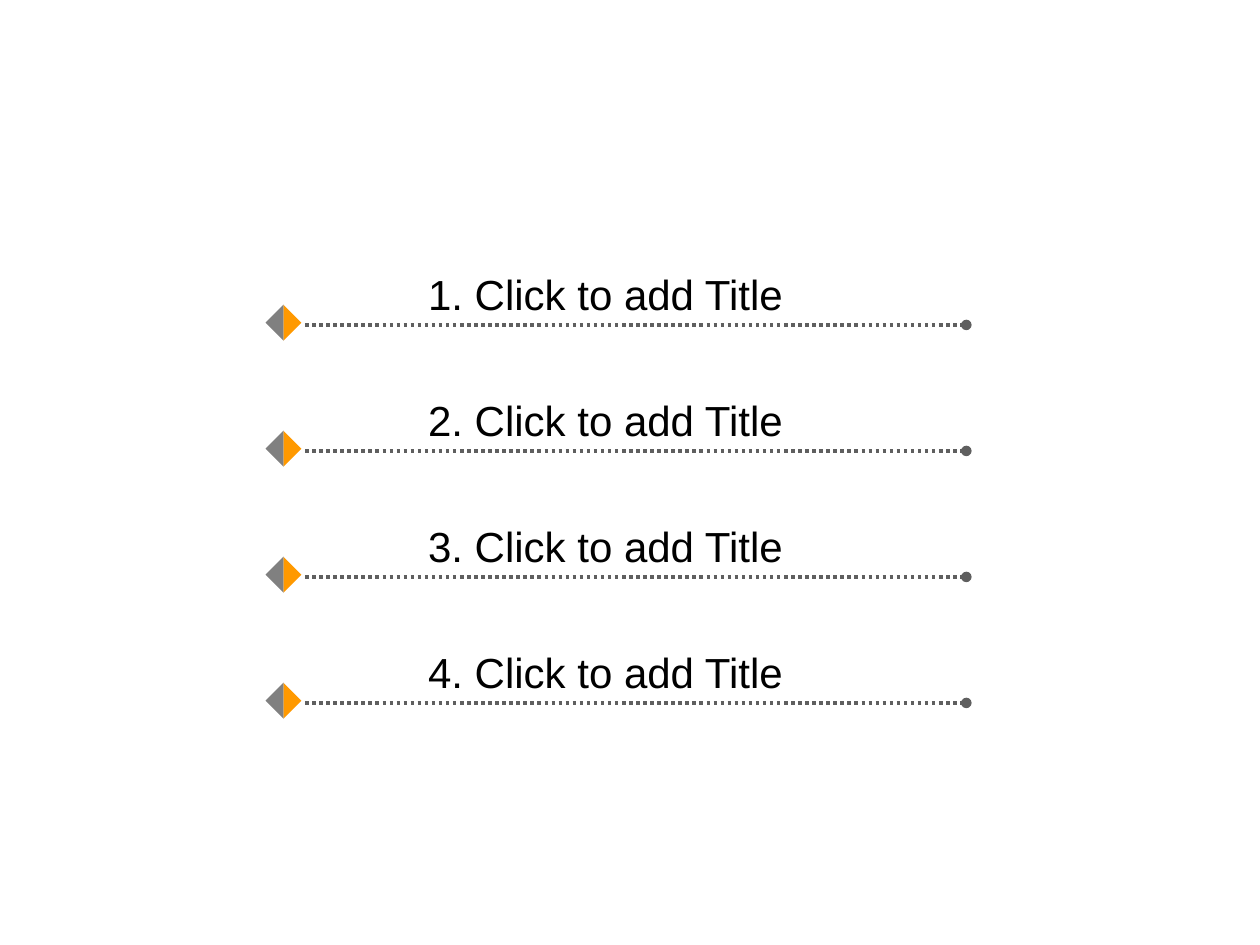
from lxml import etree
from pptx import Presentation
from pptx.dml.color import RGBColor
from pptx.enum.dml import MSO_LINE
from pptx.enum.shapes import MSO_CONNECTOR, MSO_SHAPE
from pptx.enum.text import MSO_AUTO_SIZE
from pptx.oxml.ns import qn
from pptx.util import Cm, Pt

STRAIGHT = MSO_CONNECTOR.STRAIGHT
RIGHT_TRIANGLE = MSO_SHAPE.RIGHT_TRIANGLE
DOTTED = MSO_LINE.ROUND_DOT
FIT_SHAPE = MSO_AUTO_SIZE.SHAPE_TO_FIT_TEXT

BLACK = RGBColor(0x00, 0x00, 0x00)
DARK_GRAY = RGBColor(0x5F, 0x5F, 0x5F)
GRAY = RGBColor(0x80, 0x80, 0x80)
ORANGE = RGBColor(0xFF, 0x99, 0x00)

TITLES = [f"{number}. Click to add Title" for number in range(1, 5)]
ROW_LEFT, ROW_TOP = Cm(5.46), Cm(5.28)
ROW_WIDTH, ROW_HEIGHT = Cm(14.02), Cm(1.27)
ROW_PITCH = Cm(2.54)


def add_dotted_line(shapes, left, right, y):
    """Draw a horizontal dotted line that ends in a round dot."""
    connector = shapes.add_connector(STRAIGHT, left, y, right, y)
    connector.line.color.rgb = DARK_GRAY
    connector.line.width = Pt(2)
    connector.line.dash_style = DOTTED
    line = connector.line._get_or_add_ln()
    etree.SubElement(line, qn("a:tailEnd"), type="oval")
    etree.SubElement(connector._element.spPr, qn("a:effectLst"))


def add_diamond(shapes, left, top, size):
    """Form a two-coloured diamond from two turned right triangles."""
    for color, rotation in ((GRAY, 45), (ORANGE, 225)):
        half = shapes.add_shape(RIGHT_TRIANGLE, left, top, size, size)
        half.rotation = rotation
        half.shadow.inherit = False
        half.fill.solid()
        half.fill.fore_color.rgb = color
        half.line.fill.background()


def add_title(shapes, title, left, top, width, height):
    text_frame = shapes.add_textbox(left, top, width, height).text_frame
    text_frame.word_wrap = False
    text_frame.auto_size = FIT_SHAPE
    text_frame.text = title
    font = text_frame.paragraphs[0].runs[0].font
    font.name = "Arial"
    font.size = Pt(24)
    font.color.rgb = BLACK


def add_agenda_row(slide, title, left, top, width, height):
    shapes = slide.shapes.add_group_shape().shapes
    add_dotted_line(shapes, left + Cm(0.69), left + width, top + height)
    add_diamond(shapes, left, top + Cm(0.97), Cm(0.51))
    add_title(shapes, title, left + Cm(2.92), top, Cm(7.72), height)


def main():
    presentation = Presentation()
    presentation.slide_width = Cm(25.4)
    presentation.slide_height = Cm(19.05)
    slide = presentation.slides.add_slide(presentation.slide_layouts[6])
    for index, title in enumerate(TITLES):
        top = ROW_TOP + index * ROW_PITCH
        add_agenda_row(slide, title, ROW_LEFT, top, ROW_WIDTH, ROW_HEIGHT)
    presentation.save("out.pptx")


if __name__ == "__main__":
    main()
